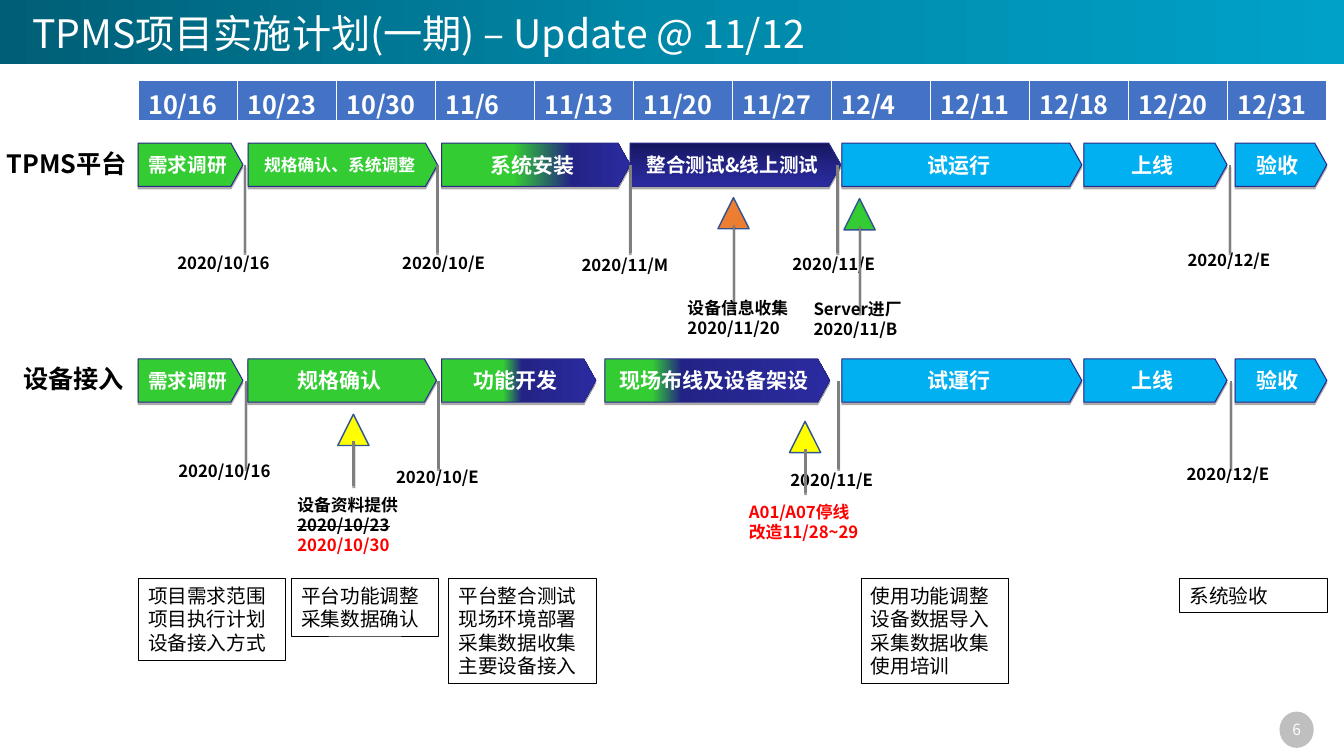
from lxml import etree
from pptx import Presentation
from pptx.dml.color import RGBColor
from pptx.enum import shapes, text
from pptx.oxml import ns
from pptx.util import Inches, Pt

FONT = "Noto Sans CJK SC"
WHITE, BLACK = RGBColor(255, 255, 255), RGBColor(0, 0, 0)
GREEN, SKY = RGBColor(0x33, 0xCC, 0x33), RGBColor(0x00, 0xB0, 0xF0)
NAVY, INDIGO = RGBColor(0x23, 0x23, 0x86), RGBColor(0x2B, 0x2B, 0xA1)
MIDNIGHT, OUTLINE = RGBColor(0x15, 0x15, 0x5C), RGBColor(0x29, 0x29, 0x89)
ORANGE, YELLOW = RGBColor(0xED, 0x7D, 0x31), RGBColor(255, 255, 0)
RED, GRAY = RGBColor(255, 0, 0), RGBColor(0x7F, 0x7F, 0x7F)
BADGE, HEADER = RGBColor(0xBF, 0xBF, 0xBF), RGBColor(0x44, 0x72, 0xC4)
MARKER_LINE = RGBColor(0x32, 0x54, 0x91)
BANNER = [(0, RGBColor(0, 0x5F, 0x76)), (50, RGBColor(0, 0x88, 0xA9)),
          (100, RGBColor(0, 0xA1, 0xC8))]


def progress(done, rest):
    return [(done, GREEN), (rest, NAVY), (100, INDIGO)]


# Content
TITLE = "TPMS项目实施计划(一期) – Update @ 11/12"
DATES = ["10/16", "10/23", "10/30", "11/6", "11/13", "11/20", "11/27",
         "12/4", "12/11", "12/18", "12/20", "12/31"]
# Each track: name, name left, top, stages (text, left, width, size, fill, angle),
# milestones (text, line x, label left, label drop below the track)
TRACKS = [
    ("TPMS平台", -0.03, 1.42,
     [("需求调研", 1.37, 1.04, 14, GREEN, 0),
      ("规格确认、系统调整", 2.46, 1.88, 12, GREEN, 0),
      ("系统安装", 4.38, 1.87, 15, progress(38, 69), 0),
      ("整合测试&线上测试", 6.25, 2.09, 14,
       [(0, MIDNIGHT), (50, NAVY), (100, INDIGO)], 270),
      ("试运行", 8.35, 2.38, 15, SKY, 0),
      ("上线", 10.75, 1.42, 15, SKY, 0),
      ("验收", 12.25, 0.91, 15, SKY, 0)],
     [("2020/10/16", 2.43, 1.66, 1.04), ("2020/10/E", 4.34, 3.89, 1.04),
      ("2020/11/M", 6.25, 5.67, 1.06), ("2020/11/E", 8.31, 7.76, 1.05),
      ("2020/12/E", 12.2, 11.68, 1.01)]),
    ("设备接入", 0.13, 3.56,
     [("需求调研", 1.37, 1.04, 14, GREEN, 0),
      ("规格确认", 2.46, 1.87, 15, GREEN, 0),
      ("功能开发", 4.38, 1.53, 15, progress(40, 52), 0),
      ("现场布线及设备架设", 6, 2.23, 15, progress(21, 34), 0),
      ("试運行", 8.35, 2.38, 15, SKY, 0),
      ("上线", 10.75, 1.42, 15, SKY, 0),
      ("验收", 12.25, 0.91, 15, SKY, 0)],
     [("2020/10/16", 2.44, 1.67, 0.96), ("2020/10/E", 4.35, 3.83, 1.02),
      ("2020/11/E", 8.32, 7.74, 1.05), ("2020/12/E", 12.21, 11.67, 0.99)]),
]
# Events: left, top, marker colour, stem length, lines (text, colour, struck), label drop
EVENTS = [
    (8.37, 1.97, GREEN, 0.87,
     [("Server进厂", BLACK, False), ("2020/11/B", BLACK, False)], 0.94),
    (7.12, 1.96, ORANGE, 0.87,
     [("设备信息收集", BLACK, False), ("2020/11/20", BLACK, False)], 0.94),
    (3.35, 4.11, YELLOW, 0.44,
     [("设备资料提供", BLACK, False), ("2020/10/23", BLACK, True),
      ("2020/10/30", RED, False)], 0.75),
    (7.83, 4.18, YELLOW, 0.44, [("A01/A07停线改造11/28~29", RED, False)], 0.75),
]
TASKS = [
    (1.37, ["项目需求范围", "项目执行计划", "设备接入方式"]),
    (2.89, ["平台功能调整", "采集数据确认"]),
    (4.45, ["平台整合测试", "现场环境部署", "采集数据收集", "主要设备接入"]),
    (8.54, ["使用功能调整", "设备数据导入", "采集数据收集", "使用培训"]),
    (11.7, ["系统验收"]),
]

deck = Presentation()
deck.slide_width, deck.slide_height = Inches(13.33), Inches(7.5)
page = deck.slides.add_slide(deck.slide_layouts[6])


def write(frame, lines, size, bold=True, align=text.PP_ALIGN.LEFT, spacing=None):
    """Fill a frame with lines of (text, colour, struck)."""
    for i, (words, colour, struck) in enumerate(lines):
        para = frame.paragraphs[0] if i == 0 else frame.add_paragraph()
        para.alignment = align
        if spacing:
            para.line_spacing = spacing
        span = para.add_run()
        span.text = words
        span.font.size, span.font.bold, span.font.name = Pt(size), bold, FONT
        span.font.color.rgb = colour
        props = span._r.get_or_add_rPr()
        etree.SubElement(props, ns.qn("a:ea")).set("typeface", FONT)
        if struck:
            props.set("strike", "sngStrike")


def add_label(left, top, width, lines, size=12):
    box = page.shapes.add_textbox(Inches(left), Inches(top), Inches(width), Inches(0.4))
    box.text_frame.word_wrap = True
    write(box.text_frame, lines, size, spacing=Pt(size * 1.2))
    return box


def add_box(kind, left, top, width, height, fill=None, line=None, weight=0.75, angle=0):
    box = page.shapes.add_shape(kind, Inches(left), Inches(top), Inches(width), Inches(height))
    box.shadow.inherit = False
    if isinstance(fill, list):
        box.fill.gradient()
        box.fill.gradient_angle = angle
        stops = box._element.spPr.find(".//" + ns.qn("a:gsLst"))
        for old in list(stops):
            stops.remove(old)
        for place, colour in fill:
            stop = etree.SubElement(stops, ns.qn("a:gs"), pos=str(place * 1000))
            etree.SubElement(stop, ns.qn("a:srgbClr"), val=str(colour))
    elif fill is None:
        box.fill.background()
    else:
        box.fill.solid()
        box.fill.fore_color.rgb = fill
    if line is None:
        box.line.fill.background()
    else:
        box.line.color.rgb, box.line.width = line, Pt(weight)
    return box


def drop_shadow(shape, opacity, distance):
    props = shape._element.spPr
    effects = props.find(ns.qn("a:effectLst"))
    if effects is None:
        effects = etree.SubElement(props, ns.qn("a:effectLst"))
    shadow = etree.SubElement(effects, ns.qn("a:outerShdw"), dist=str(Pt(distance)),
                              dir="5400000", rotWithShape="0")
    colour = etree.SubElement(shadow, ns.qn("a:srgbClr"), val="000000")
    etree.SubElement(colour, ns.qn("a:alpha"), val=str(opacity * 1000))


def add_stem(x, top, length):
    stem = page.shapes.add_connector(shapes.MSO_CONNECTOR.STRAIGHT, Inches(x), Inches(top),
                                     Inches(x), Inches(top + length))
    stem.line.color.rgb, stem.line.width = GRAY, Pt(2)
    drop_shadow(stem, 36, 1.6)


# Title banner and page number
KIND = shapes.MSO_SHAPE
add_box(KIND.RECTANGLE, 0, 0, 13.33, 0.64, BANNER)
title = page.shapes.add_textbox(Inches(0.22), Inches(0.09), Inches(9), Inches(0.52))
title.text_frame.word_wrap = True
title.text_frame.vertical_anchor = text.MSO_ANCHOR.MIDDLE
write(title.text_frame, [(TITLE, WHITE, False)], 28, bold=False, spacing=0.9)
badge = add_box(KIND.OVAL, 12.69, 7.06, 0.34, 0.36, BADGE)
badge.text_frame.word_wrap = False
badge.text_frame.vertical_anchor = text.MSO_ANCHOR.MIDDLE
write(badge.text_frame, [("6", WHITE, False)], 11, bold=False, align=text.PP_ALIGN.CENTER)

# Tracks: stages, then milestones
for name, name_left, top, stages, milestones in TRACKS:
    for words, left, width, size, fill, angle in stages:
        stage = add_box(KIND.PENTAGON, left, top, width, 0.43, fill, OUTLINE, angle=angle)
        stage.adjustments[0] = 0.28
        drop_shadow(stage, 33, 1.8)
        stage.text_frame.word_wrap = False
        stage.text_frame.vertical_anchor = text.MSO_ANCHOR.MIDDLE
        write(stage.text_frame, [(words, WHITE, False)], size, align=text.PP_ALIGN.CENTER)
    for words, x, left, drop in milestones:
        add_label(left, top + drop, 1.35, [(words, BLACK, False)])
        add_stem(x, top + 0.22, 0.87)
    add_label(name_left, top, 1.82, [(name, BLACK, False)], 18)

# Events
for left, top, colour, length, lines, drop in EVENTS:
    add_box(KIND.ISOSCELES_TRIANGLE, left, top, 0.31, 0.31, colour, MARKER_LINE, 1)
    add_stem(left + 0.16, top + 0.27, length)
    add_label(left - (0.4 if length > 0.5 else 0.5), top + drop, 1.35, lines)

# Date header
frame = page.shapes.add_table(1, len(DATES), Inches(1.37), Inches(0.8),
                              Inches(11.79), Inches(0.41))
for column, date in enumerate(DATES):
    frame.table.columns[column].width = Inches(11.79 / len(DATES))
    cell = frame.table.cell(0, column)
    write(cell.text_frame, [(date, WHITE, False)], 18)
    props = cell._tc.get_or_add_tcPr()
    for side, weight in [("L", 1), ("R", 1), ("T", 1), ("B", 3)]:
        edge = etree.SubElement(props, ns.qn("a:ln" + side), w=str(Pt(weight)))
        paint = etree.SubElement(edge, ns.qn("a:solidFill"))
        etree.SubElement(paint, ns.qn("a:srgbClr"), val=str(WHITE))
    cell.fill.solid()
    cell.fill.fore_color.rgb = HEADER

# Task boxes
for left, tasks in TASKS:
    height = 0.1 + len(tasks) * 0.235
    box = add_box(KIND.RECTANGLE, left, 5.74, 1.46, height, line=BLACK, weight=0.25)
    box.text_frame.vertical_anchor = text.MSO_ANCHOR.TOP
    write(box.text_frame, [(task, BLACK, False) for task in tasks], 14, bold=False,
          spacing=Pt(16.8))

deck.save("out.pptx")
